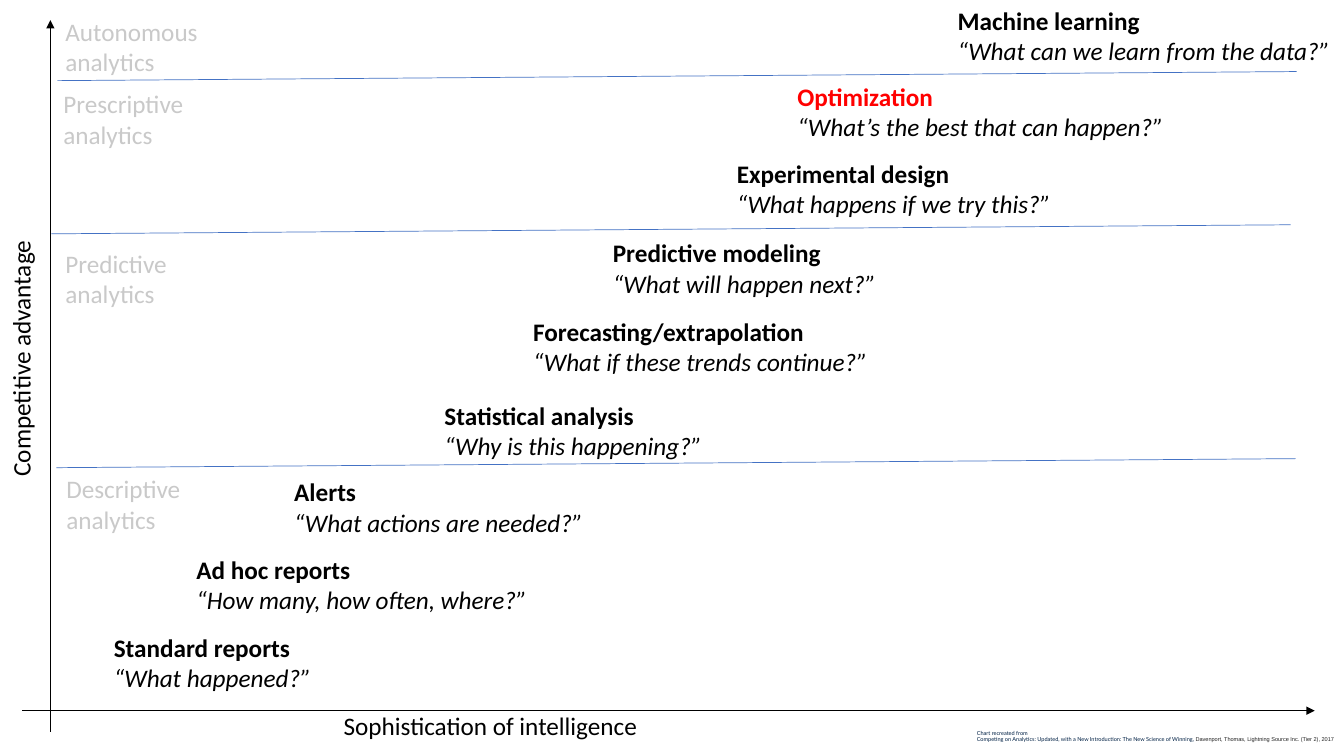
from pptx import Presentation
from pptx.dml.color import RGBColor
from pptx.enum.shapes import MSO_CONNECTOR
from pptx.enum.text import MSO_AUTO_SIZE
from pptx.oxml.ns import qn
from pptx.util import Inches, Pt
from lxml import etree

STRAIGHT = MSO_CONNECTOR.STRAIGHT
FIT = MSO_AUTO_SIZE.SHAPE_TO_FIT_TEXT
BLACK, GREY, BLUE, RED = "000000", "C9C9C9", "4472C4", "FF0000"
NAVY, DARK = "002145", "222222"
W, H = 13.33, 7.5
LABEL_H, PAIR_H = 0.4, 0.71
DIVIDER_W, DIVIDER_RISE = 12.29, 0.09

STEPS = [
    (1.03, 6.22, 2.19, "Standard reports", "“What happened?”", BLACK),
    (1.85, 5.45, 3.53, "Ad hoc reports", "“How many, how often, where?”", BLACK),
    (2.82, 4.68, 3.1, "Alerts", "“What actions are needed?”", BLACK),
    (4.31, 3.92, 2.78, "Statistical analysis", "“Why is this happening?”", BLACK),
    (5.19, 3.09, 3.56, "Forecasting/extrapolation", "“What if these trends continue?”", BLACK),
    (5.98, 2.31, 2.84, "Predictive modeling", "“What will happen next?”", BLACK),
    (7.21, 1.52, 3.35, "Experimental design", "“What happens if we try this?”", BLACK),
    (7.81, 0.76, 3.87, "Optimization", "“What’s the best that can happen?”", RED),
    (9.4, 0, 3.94, "Machine learning", "“What can we learn from the data?”", BLACK),
]
STAGES = [
    (0.56, 4.65, 1.35, "Descriptive"),
    (0.55, 2.41, 1.22, "Predictive"),
    (0.53, 0.83, 1.4, "Prescriptive"),
    (0.55, 0.11, 1.53, "Autonomous"),
]
DIVIDERS = [(0.56, 4.64), (0.51, 2.32), (0.57, 0.8)]


def rgb(value):
    """Turn a hex string into a colour."""
    return RGBColor.from_string(value)


def style(font, color, size=18, name="Calibri"):
    """Set the face, size and colour of a font."""
    font.name, font.size = name, Pt(size)
    font.color.rgb = rgb(color)


def add_line(s, start, end, color, arrow=False):
    """Draw a thin straight line, with an arrowhead at its end if asked."""
    line = s.shapes.add_connector(STRAIGHT, *map(Inches, start + end))
    line.line.color.rgb = rgb(color)
    line.line.width = Pt(0.5)
    if arrow:
        tail = etree.SubElement(line.line._get_or_add_ln(), qn("a:tailEnd"))
        tail.set("type", "triangle")
    etree.SubElement(line._element.spPr, qn("a:effectLst"))


def add_text(s, box, wrap=False):
    """Add a text box that fits its text and return it."""
    tb = s.shapes.add_textbox(*map(Inches, box))
    tb.text_frame.word_wrap = wrap
    tb.text_frame.auto_size = FIT
    return tb


def add_label(s, box, text, color=BLACK):
    """Add a label in one style and return its box."""
    tb = add_text(s, box)
    p = tb.text_frame.paragraphs[0]
    p.text = text
    style(p.font, color)
    return tb


def add_step(s, box, title, question, color):
    """Add a bold title over its question in italics."""
    p = add_text(s, box).text_frame.paragraphs[0]
    r = p.add_run()
    r.text, r.font.bold = title, True
    style(r.font, color)
    p.add_line_break()
    r = p.add_run()
    r.text, r.font.italic = question, True
    style(r.font, BLACK)


def add_axes(s, left, top, right, bottom):
    """Draw both axes, crossing near the lower left, with their names."""
    add_line(s, (left, bottom - 0.21), (right, bottom - 0.21), BLACK, True)
    add_line(s, (left + 0.28, bottom), (left + 0.28, top), BLACK, True)
    add_label(s, (left + 3.09, bottom - 0.26, 3.15, LABEL_H), "Sophistication of intelligence")
    name = add_label(s, (left - 1.3, top + 3.14, 2.57, LABEL_H), "Competitive advantage")
    name.rotation = 270


def add_credit(s, box):
    """Add the source of the chart in small print."""
    tf = add_text(s, box, wrap=True).text_frame
    p = tf.paragraphs[0]
    p.text = "Chart recreated from"
    style(p.font, NAVY, 4, "Lato")
    p = tf.add_paragraph()
    for text, color, name in (
        ("Competing on Analytics: Updated, with a New Introduction: The New Science of Winning, ", NAVY, "Lato"),
        ("Davenport, Thomas, Lightning Source Inc. (Tier 2), 2017", DARK, "Arial"),
    ):
        r = p.add_run()
        r.text = text
        style(r.font, color, 4, name)


def main():
    """Build the slide and save it."""
    prs = Presentation()
    prs.slide_width, prs.slide_height = Inches(W), Inches(H)
    s = prs.slides.add_slide(prs.slide_layouts[6])
    add_axes(s, 0.22, 0.2, 13.04, 7.26)
    for x, y, w, title, question, color in STEPS:
        add_step(s, (x, y, w, PAIR_H), title, question, color)
    for x, y, w, stage in STAGES:
        add_label(s, (x, y, w, PAIR_H), f"{stage}\vanalytics", GREY)
    for x, y in DIVIDERS:
        add_line(s, (x, y), (x + DIVIDER_W, y - DIVIDER_RISE), BLUE)
    add_credit(s, (9.59, 7.19, 3.86, 0.24))
    prs.save("out.pptx")


if __name__ == "__main__":
    main()
